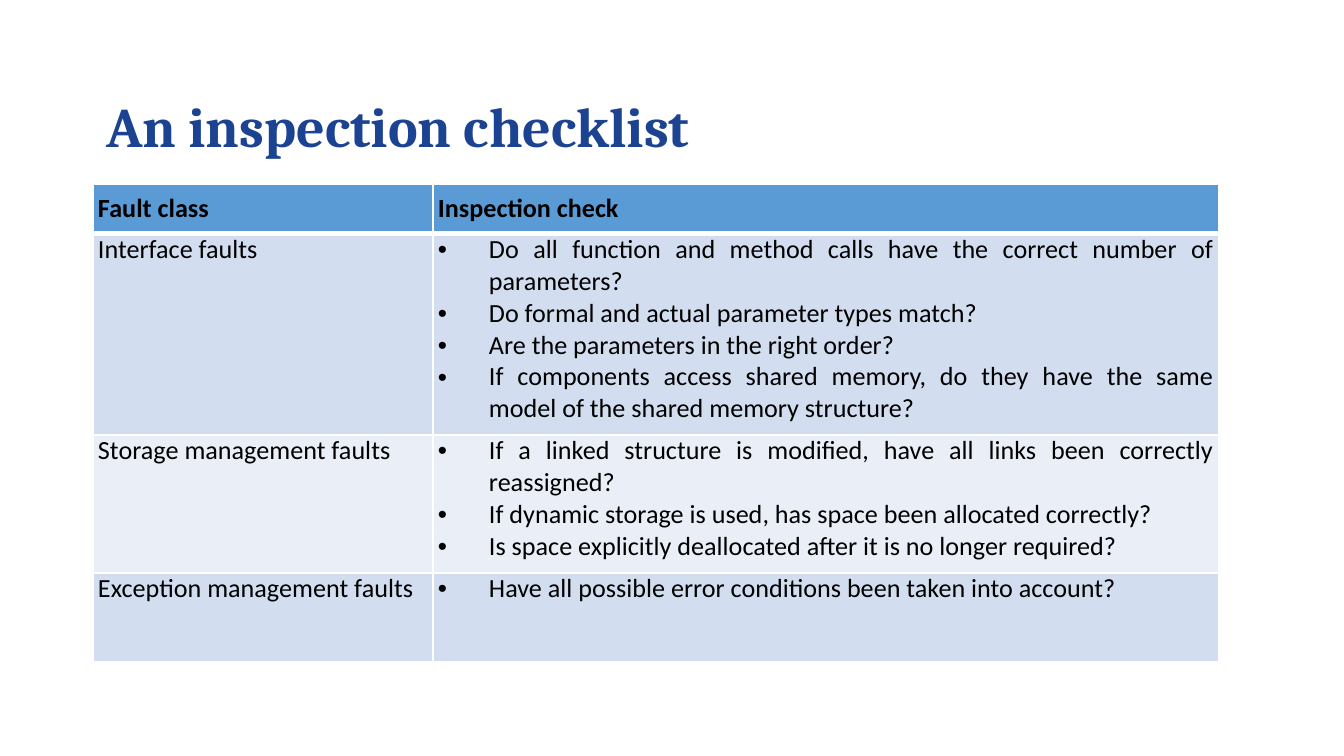
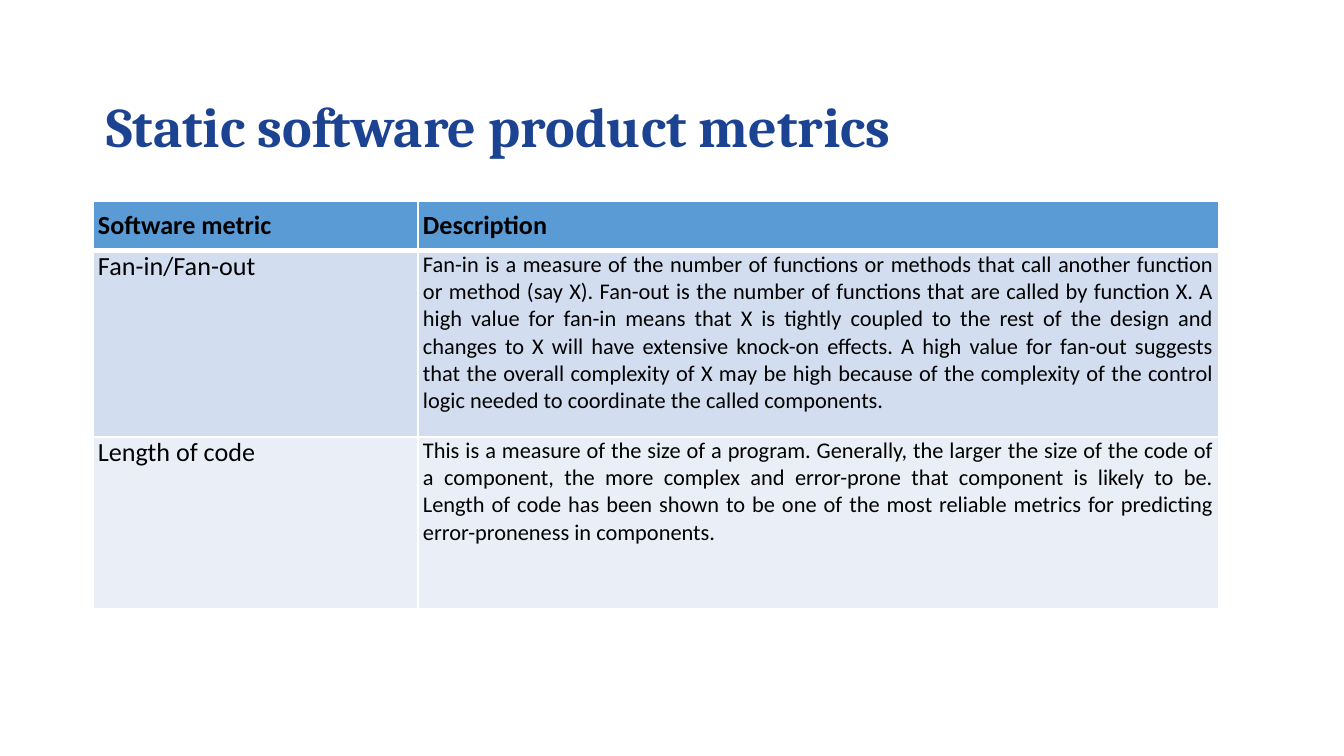
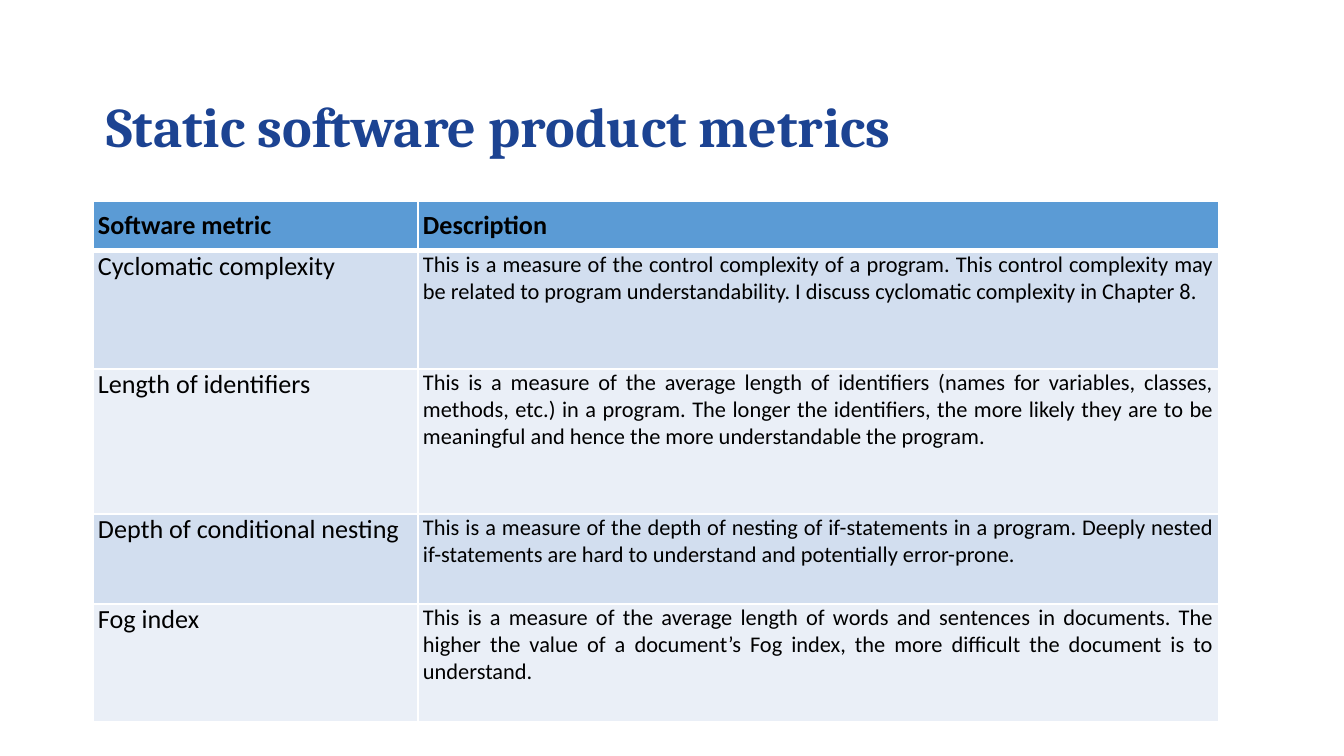
from lxml.etree import SubElement
from pptx import Presentation
from pptx.dml.color import RGBColor
from pptx.enum.text import MSO_ANCHOR as Anchor, PP_ALIGN as Align
from pptx.oxml import parse_xml
from pptx.oxml.ns import nsdecls, qn
from pptx.util import Pt

PX = 914400 / 134.4
NAVY = RGBColor(0x1C, 0x43, 0x92)
HEADER_BLUE = RGBColor(0x5B, 0x9B, 0xD5)
BANDS = RGBColor(0xD2, 0xDE, 0xEF), RGBColor(0xEA, 0xEF, 0xF7)
BLACK = RGBColor(0, 0, 0)
WHITE = RGBColor(0xFF, 0xFF, 0xFF)

LEFT, WIDTH = 93, 1126
TITLE_BOX = LEFT, 83, WIDTH, 93
HEADER_HEIGHT = 50
CELL_SIDE, CELL_END = 5, 9
BULLET_INDENT = 51

FAULT_HEADER = "Fault class", "Inspection check"
METRIC_HEADER = "Software metric", "Description"
METRICS_TITLE = "Static software product metrics"

FAULTS = [
    (201, "Interface faults", [
        "Do all function and method calls have the correct number of parameters?",
        "Do formal and actual parameter types match?",
        "Are the parameters in the right order?",
        "If components access shared memory, do they have the same model of the "
        "shared memory structure?"]),
    (138, "Storage management faults", [
        "If a linked structure is modified, have all links been correctly reassigned?",
        "If dynamic storage is used, has space been allocated correctly?",
        "Is space explicitly deallocated after it is no longer required?"]),
    (89, "Exception management faults", [
        "Have all possible error conditions been taken into account?"]),
]

SIZE_METRICS = [
    (186, "Fan-in/Fan-out", [
        "Fan-in is a measure of the number of functions or methods that call another "
        "function or method (say X). Fan-out is the number of functions that are called "
        "by function X. A high value for fan-in means that X is tightly coupled to the "
        "rest of the design and changes to X will have extensive knock-on effects. A high "
        "value for fan-out suggests that the overall complexity of X may be high because "
        "of the complexity of the control logic needed to coordinate the called "
        "components."]),
    (172, "Length of code", [
        "This is a measure of the size of a program. Generally, the larger the size of "
        "the code of a component, the more complex and error-prone that component is "
        "likely to be. Length of code has been shown to be one of the most reliable "
        "metrics for predicting error-proneness in components."]),
]

READABILITY_METRICS = [
    (118, "Cyclomatic complexity", [
        "This is a measure of the control complexity of a program. This control "
        "complexity may be related to program understandability. I discuss cyclomatic "
        "complexity in Chapter 8."]),
    (145, "Length of identifiers", [
        "This is a measure of the average length of identifiers (names for variables, "
        "classes, methods, etc.) in a program. The longer the identifiers, the more "
        "likely they are to be meaningful and hence the more understandable the "
        "program."]),
    (90, "Depth of conditional nesting", [
        "This is a measure of the depth of nesting of if-statements in a program. Deeply "
        "nested if-statements are hard to understand and potentially error-prone."]),
    (118, "Fog index", [
        "This is a measure of the average length of words and sentences in documents. "
        "The higher the value of a document’s Fog index, the more difficult the document "
        "is to understand."]),
]


def px(length):
    return round(length * PX)


def add_run(paragraph, text, size, font, color, bold=False):
    run = paragraph.add_run()
    run.text = text
    run.font.size = Pt(size)
    run.font.name = font
    run.font.bold = bold
    run.font.color.rgb = color


def add_title(slide, box, text):
    frame = slide.shapes.add_textbox(*map(px, box)).text_frame
    frame.word_wrap = True
    frame.vertical_anchor = Anchor.MIDDLE
    heading = frame.paragraphs[0]
    heading.line_spacing = 0.9
    add_run(heading, text, 30, "Cambria", NAVY, bold=True)


def add_bullet(paragraph):
    properties = paragraph._p.get_or_add_pPr()
    properties.set("marL", str(px(BULLET_INDENT)))
    properties.set("indent", str(-px(BULLET_INDENT)))
    SubElement(properties, qn("a:buFont")).set("typeface", "Arial")
    SubElement(properties, qn("a:buChar")).set("char", "•")


def set_borders(cell, top, bottom):
    properties = cell._tc.get_or_add_tcPr()
    edges = ("lnL", 1), ("lnR", 1), ("lnT", top), ("lnB", bottom)
    for position, (edge, width) in enumerate(edges):
        properties.insert(position, parse_xml(
            f'<a:{edge} {nsdecls("a")} w="{Pt(width)}"><a:solidFill>'
            f'<a:srgbClr val="{WHITE}"/></a:solidFill></a:{edge}>'))


def fill_cell(cell, lines, color, size=14, header=False, justified=False,
              bulleted=False, top_border=1):
    cell.margin_left = cell.margin_right = px(CELL_SIDE)
    cell.margin_top = px(CELL_END if header else 0)
    cell.margin_bottom = px(CELL_END)
    cell.fill.solid()
    cell.fill.fore_color.rgb = color
    set_borders(cell, top_border, 3 if header else 1)
    frame = cell.text_frame
    for index, line in enumerate(lines):
        paragraph = frame.add_paragraph() if index else frame.paragraphs[0]
        paragraph.alignment = Align.JUSTIFY if justified else Align.LEFT
        if bulleted:
            add_bullet(paragraph)
        add_run(paragraph, line, size, "Calibri", BLACK, bold=header)


def add_checklist(slide, top, term_width, header, entries, detail_size, bulleted):
    heights = [HEADER_HEIGHT] + [height for height, _, _ in entries]
    box = LEFT, top, WIDTH, sum(heights)
    table = slide.shapes.add_table(len(heights), 2, *map(px, box)).table
    for column, width in zip(table.columns, (term_width, WIDTH - term_width)):
        column.width = px(width)
    for row, height in zip(table.rows, heights):
        row.height = px(height)
    for column, label in enumerate(header):
        fill_cell(table.cell(0, column), [label], HEADER_BLUE, header=True,
                  justified=column == 1)
    for row, (_, term, details) in enumerate(entries, 1):
        band = BANDS[(row - 1) % 2]
        top_border = 3 if row == 1 else 1
        fill_cell(table.cell(row, 0), [term], band, top_border=top_border)
        fill_cell(table.cell(row, 1), details, band, detail_size, justified=True,
                  bulleted=bulleted, top_border=top_border)


def add_slide(deck, title, **checklist):
    slide = deck.slides.add_slide(deck.slide_layouts[6])
    add_checklist(slide, **checklist)
    add_title(slide, TITLE_BOX, title)


def main():
    deck = Presentation()
    deck.slide_width, deck.slide_height = px(1344), px(756)
    add_slide(deck, "An inspection checklist", top=184, term_width=340,
              header=FAULT_HEADER, entries=FAULTS, detail_size=14, bulleted=True)
    for metrics in (SIZE_METRICS, READABILITY_METRICS):
        add_slide(deck, METRICS_TITLE, top=201, term_width=325,
                  header=METRIC_HEADER, entries=metrics, detail_size=12, bulleted=False)
    deck.save("out.pptx")


if __name__ == "__main__":
    main()
